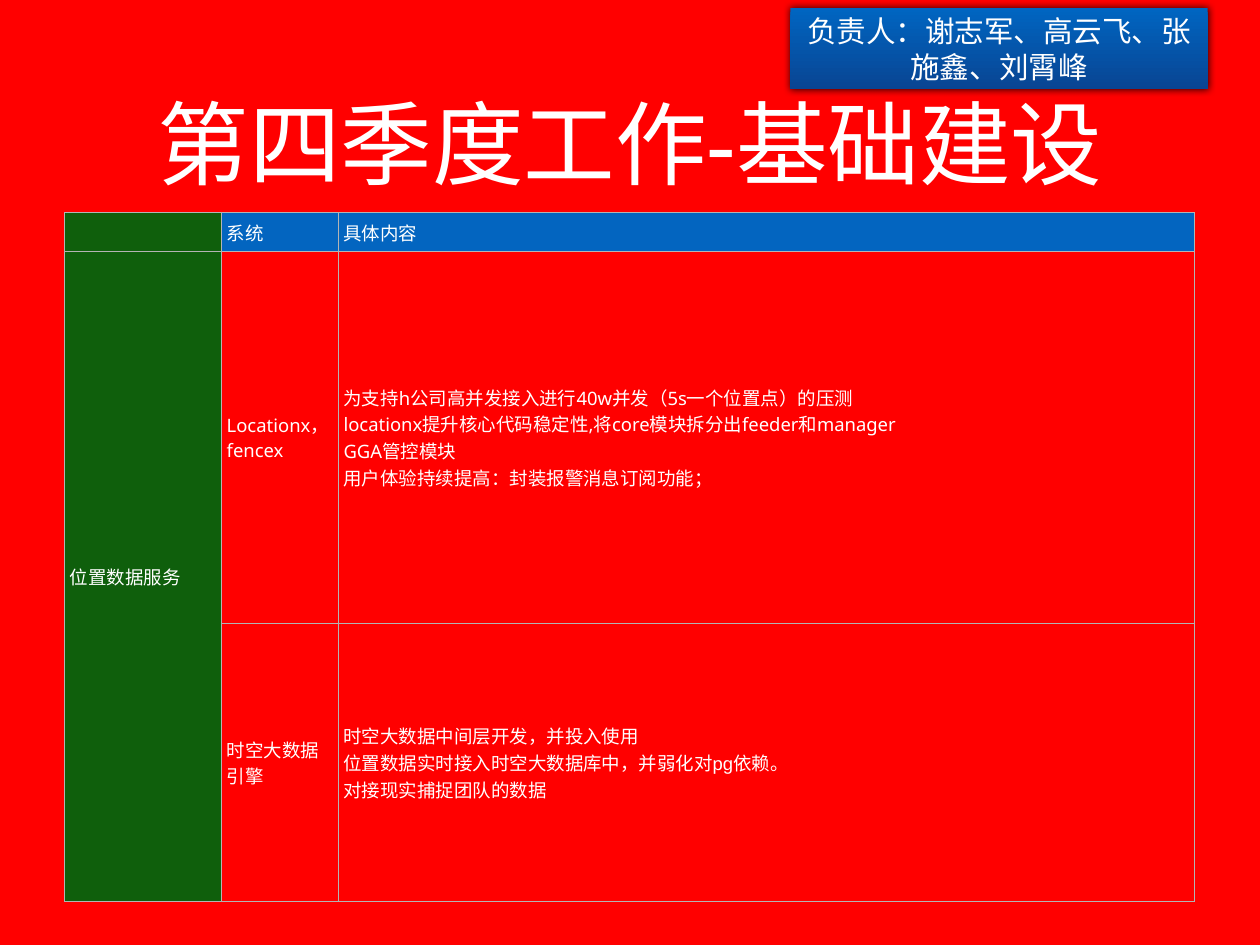
from dataclasses import dataclass
from lxml.etree import SubElement as Sub
from pptx import Presentation as Deck
from pptx.dml.color import RGBColor as Rgb
from pptx.enum.shapes import MSO_SHAPE as Kind
from pptx.enum.text import MSO_ANCHOR as Anchor, PP_ALIGN as Align
from pptx.oxml import parse_xml
from pptx.oxml.ns import qn
from pptx.util import Inches, Pt

WIDE, HIGH = 14.22, 10.67
NS = 'xmlns:a="http://schemas.openxmlformats.org/drawingml/2006/main"'


@dataclass(frozen=True)
class Theme:
    back: str = "FF0000"
    text: str = "FFFFFF"
    head: str = "0365C0"
    side: str = "0F5F0C"
    rule: str = "B4B4B4"
    glow: str = "000000"
    top: str = "0065C1"
    base: str = "094593"
    title: float = 74.4
    tag: float = 24
    body: float = 15
    sans: str = "Noto Sans"
    plain: str = "Arial"
    pad: float = 0.06


LOOK = Theme()
COLS = (1.77, 1.32, 9.67)
ROWS = (0.44, 4.19, 3.14)
CELLS = {
    (0, 0): ([], LOOK.plain, LOOK.side),
    (0, 1): (["系统"], LOOK.plain, LOOK.head),
    (0, 2): (["具体内容"], LOOK.plain, LOOK.head),
    (1, 0): (["位置数据服务"], LOOK.plain, LOOK.side),
    (1, 1): (["Locationx，fencex"], LOOK.sans, None),
    (1, 2): ([
        "为支持h公司高并发接入进行40w并发（5s一个位置点）的压测",
        "locationx提升核心代码稳定性,将core模块拆分出feeder和manager",
        "GGA管控模块",
        "用户体验持续提高：封装报警消息订阅功能；",
    ], LOOK.sans, None),
    (2, 0): ([], LOOK.plain, LOOK.side),
    (2, 1): (["时空大数据引擎"], LOOK.plain, None),
    (2, 2): ([
        "时空大数据中间层开发，并投入使用",
        "位置数据实时接入时空大数据库中，并弱化对pg依赖。",
        "对接现实捕捉团队的数据",
    ], LOOK.plain, None),
}


def rgb(hue):
    return Rgb.from_string(hue)


def place(box):
    return [Inches(part * size) for part, size in zip(box, (WIDE, HIGH) * 2)]


def apply(item, form):
    for name, value in form.items():
        setattr(item, name, value)


def pads():
    return {"margin_" + side: Inches(LOOK.pad)
            for side in ("left", "right", "top", "bottom")}


def write(frame, lines, size, face, align):
    for num, line in enumerate(lines):
        para = frame.add_paragraph() if num else frame.paragraphs[0]
        para.alignment = align
        run = para.add_run()
        run.text = line
        apply(run.font, {"size": Pt(size), "name": face})
        run.font.color.rgb = rgb(LOOK.text)


def label(frame, line, size):
    apply(frame, {"word_wrap": True, "vertical_anchor": Anchor.MIDDLE, **pads()})
    write(frame, [line], size, LOOK.sans, Align.CENTER)


def title(slide, box):
    text = slide.shapes.add_textbox(*place(box))
    label(text.text_frame, "第四季度工作-基础建设", LOOK.title)


def owners(slide, box):
    tag = slide.shapes.add_shape(Kind.RECTANGLE, *place(box))
    tag.shadow.inherit = False
    tag.line.fill.background()
    tag.fill.gradient()
    tag.fill.gradient_angle = 270
    for stop, hue, spot in zip(tag.fill.gradient_stops, (LOOK.top, LOOK.base), (0, 1)):
        apply(stop, {"position": spot})
        stop.color.rgb = rgb(hue)
    effect = tag.element.spPr.find(qn("a:effectLst"))
    shade = Sub(effect, qn("a:outerShdw"), blurRad=str(Pt(6)), dist="0", dir="18900000")
    tint = Sub(shade, qn("a:srgbClr"), val=LOOK.glow)
    Sub(tint, qn("a:alpha"), val="80000")
    label(tag.text_frame, "负责人：谢志军、高云飞、张施鑫、刘霄峰", LOOK.tag)


def edge(cell):
    props = cell._tc.get_or_add_tcPr()
    for num, side in enumerate("LRTB"):
        props.insert(num, parse_xml(
            f'<a:ln{side} {NS} w="{Pt(1)}"><a:solidFill>'
            f'<a:srgbClr val="{LOOK.rule}"/></a:solidFill></a:ln{side}>'))


def plan(slide, box):
    left, top, width, height = place(box)
    grid = slide.shapes.add_table(len(ROWS), len(COLS), left, top, width, height).table
    apply(grid, {"first_row": False, "horz_banding": False})
    for col, part in zip(grid.columns, COLS):
        col.width = int(width * part / sum(COLS))
    for row, part in zip(grid.rows, ROWS):
        row.height = int(height * part / sum(ROWS))
    for spot, (lines, face, hue) in CELLS.items():
        cell = grid.cell(*spot)
        apply(cell, {"vertical_anchor": Anchor.MIDDLE, **pads()})
        if hue:
            cell.fill.solid()
            cell.fill.fore_color.rgb = rgb(hue)
        else:
            cell.fill.background()
        edge(cell)
        write(cell.text_frame, lines, LOOK.body, face, Align.LEFT)
    grid.cell(1, 0).merge(grid.cell(2, 0))


def main():
    deck = Deck()
    apply(deck, {"slide_width": Inches(WIDE), "slide_height": Inches(HIGH)})
    slide = deck.slides.add_slide(deck.slide_layouts[6])
    slide.background.fill.solid()
    slide.background.fill.fore_color.rgb = rgb(LOOK.back)
    title(slide, (1.04 / WIDE, 0.44 / HIGH, 12.14 / WIDE, 2.32 / HIGH))
    owners(slide, (8.92 / WIDE, 0.09 / HIGH, 4.71 / WIDE, 0.92 / HIGH))
    plan(slide, (0.73 / WIDE, 2.4 / HIGH, 12.75 / WIDE, 7.78 / HIGH))
    deck.save("out.pptx")


if __name__ == "__main__":
    main()
